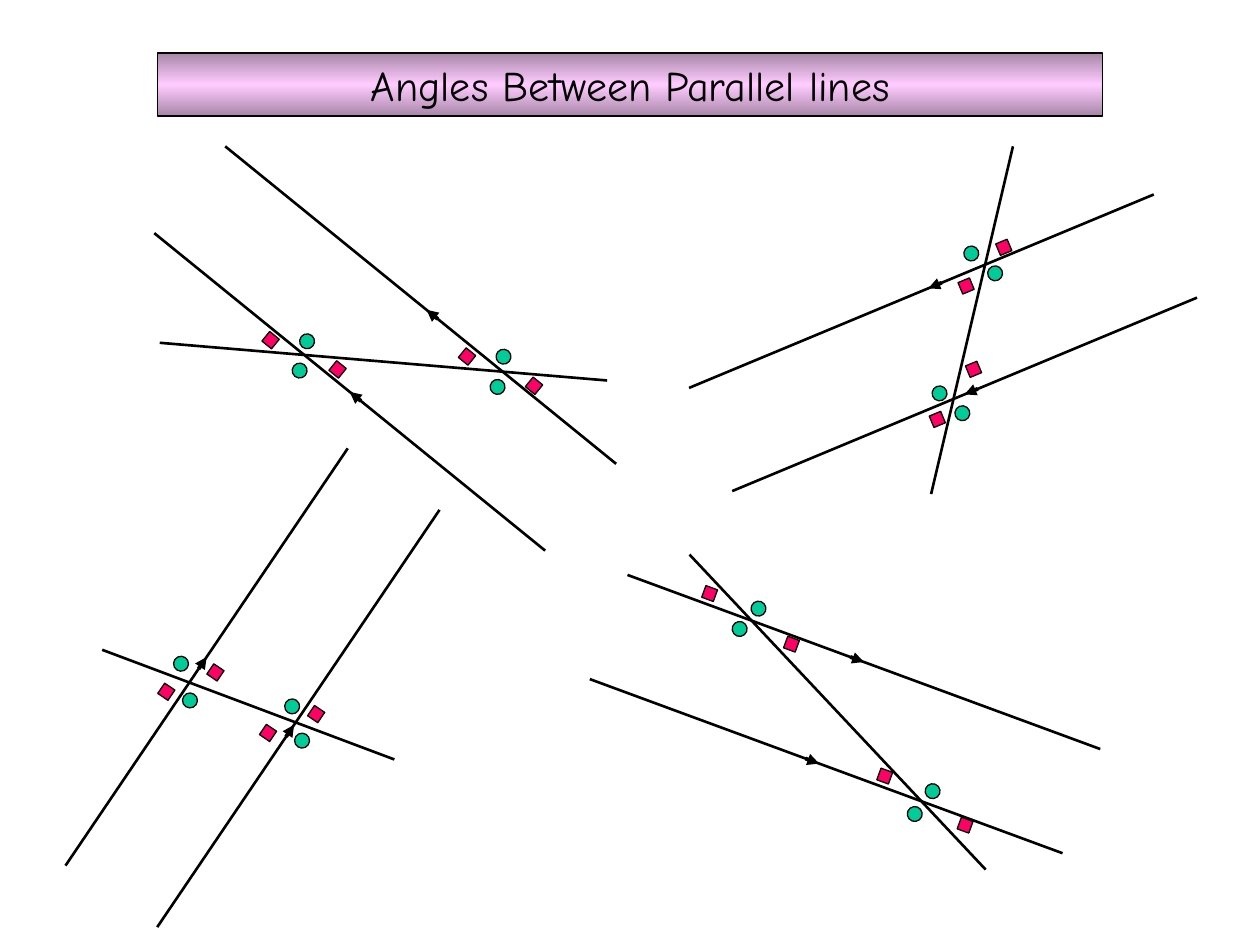
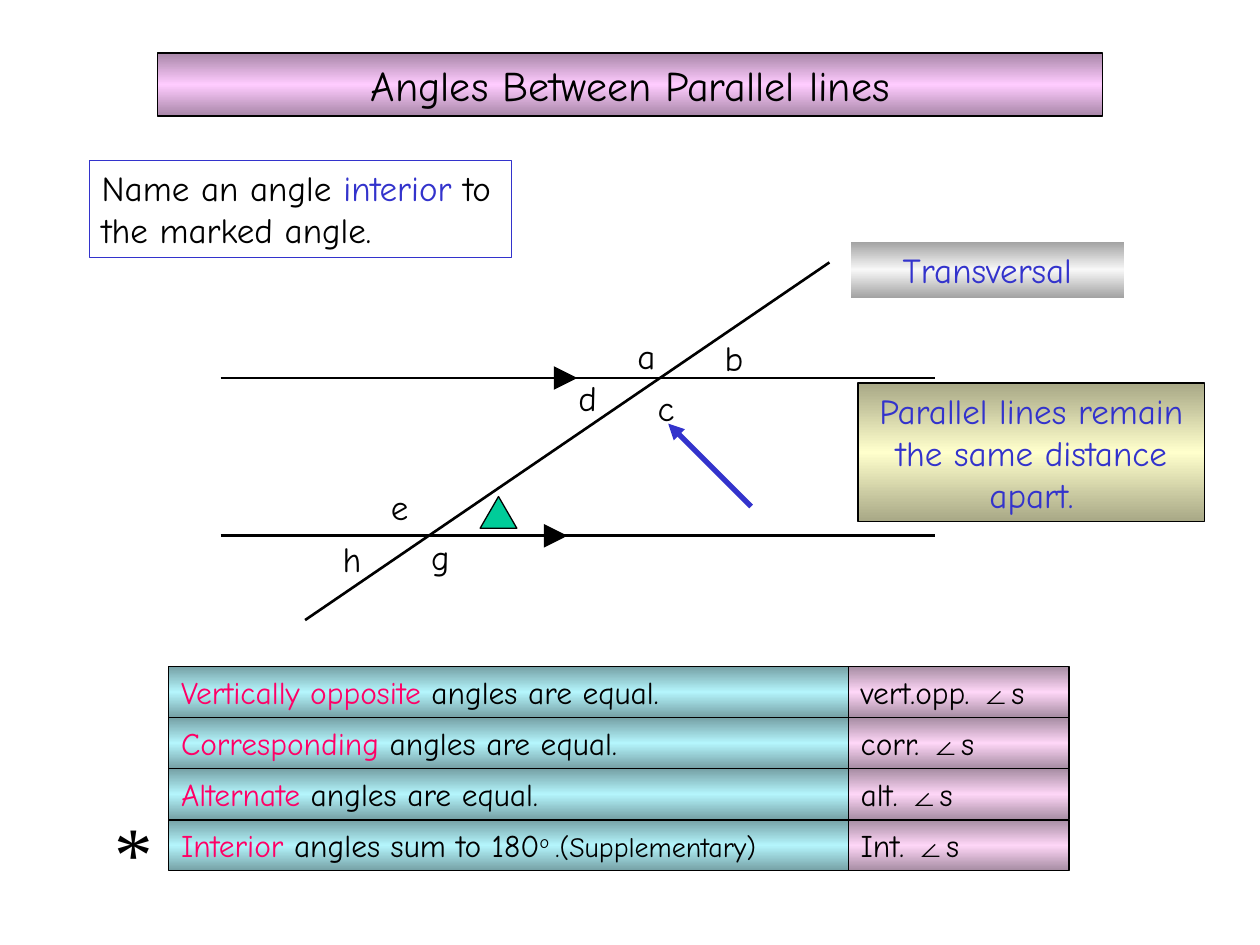
from copy import deepcopy
from math import atan2, cos, degrees, sin

from lxml import etree
from pptx import Presentation
from pptx import util as u
from pptx.dml.color import RGBColor
from pptx.enum import shapes as s, text as t
from pptx.oxml.ns import qn

# Shared look
BLACK = RGBColor(0x00, 0x00, 0x00)
BLUE = RGBColor(0x33, 0x33, 0xCC)
GREEN = RGBColor(0x00, 0xCC, 0x99)
RED = RGBColor(0xFF, 0x00, 0x66)
# Bands: edge colour, middle colour
PINK = RGBColor(0xA8, 0x86, 0xA8), RGBColor(0xFF, 0xCC, 0xFF)
CREAM = RGBColor(0xA8, 0xA8, 0x86), RGBColor(0xFF, 0xFF, 0xCC)
GREY = RGBColor(0xA3, 0xA3, 0xA3), RGBColor(0xF8, 0xF8, 0xF8)
AQUA = RGBColor(0x76, 0xA1, 0xA6), RGBColor(0xB4, 0xF5, 0xFC)
ROSE = RGBColor(0xA7, 0x8D, 0xA3), RGBColor(0xFE, 0xD6, 0xF7)
FONT = "Comic Neue"
RECT = s.MSO_SHAPE.RECTANGLE
OVAL = s.MSO_SHAPE.OVAL
MID = t.PP_ALIGN.CENTER
LEFT = t.PP_ALIGN.LEFT


def cms(*nums):
    return [u.Cm(n) for n in nums]


def line(on, start, end, width=1.5, color=BLACK, head=False):
    rule = on.add_connector(s.MSO_CONNECTOR.STRAIGHT, *cms(*start, *end))
    rule.line.width = u.Pt(width)
    rule.line.color.rgb = color
    if head:
        etree.SubElement(rule.line._get_or_add_ln(), qn("a:tailEnd"), type="triangle")
    etree.SubElement(rule._element.spPr, qn("a:effectLst"))


def mark(on, kind, area, fill=None, edge=BLACK, turn=0):
    shape = on.add_shape(kind, *cms(*area))
    shape.shadow.inherit = False
    shape.rotation = turn
    if fill:
        shape.fill.solid()
        shape.fill.fore_color.rgb = fill
    else:
        shape.fill.background()
    if edge:
        shape.line.color.rgb = edge
        shape.line.width = u.Pt(0.75)
    else:
        shape.line.fill.background()
    return shape


def shade(shape, band):
    """Fill a shape from edge to middle to edge."""
    shape.fill.gradient()
    shape.fill.gradient_angle = 90
    stops = shape._element.spPr.find(".//" + qn("a:gsLst"))
    stops.insert(1, deepcopy(stops[0]))
    edge, mid = band
    for stop, place, color in zip(shape.fill.gradient_stops, (0, 0.5, 1), (edge, mid, edge)):
        stop.position = place
        stop.color.rgb = color


def write(shape, runs, size=20, align=LEFT, font=FONT):
    """Each run is (words, colour, changes to size, font or base)."""
    frame = shape.text_frame
    frame.word_wrap = True
    frame.vertical_anchor = t.MSO_ANCHOR.TOP
    frame.margin_left, frame.margin_top, frame.margin_right, frame.margin_bottom = cms(
        0.25, 0.13, 0.25, 0.13)
    para = frame.paragraphs[0]
    para.alignment = align
    for words, color, *more in runs:
        style = more[0] if more else {}
        run = para.add_run()
        run.text = words
        run.font.size = u.Pt(style.get("size", size))
        run.font.name = style.get("font", font)
        run.font.color.rgb = color
        if "base" in style:
            run.font._element.set("baseline", str(style["base"] * 1000))


def panel(on, area, band, runs, size=20, align=MID, edge=BLACK):
    shape = mark(on, RECT, area, edge=edge)
    if band:
        shade(shape, band)
    write(shape, runs, size, align)


def label(on, area, word, **style):
    write(on.add_textbox(*cms(*area)), [(word, BLACK)], **style)


def title(on):
    panel(on, (3.18, 1.07, 19.05, 1.27), PINK, [("Angles Between Parallel lines", BLACK)], 24)


# Two parallel lines, the line that cuts them, and the marked angles
def figure(on, box, starts, run, cut, dots, tiles):
    left, top = box
    part = on.add_group_shape().shapes

    def at(point):
        return left + point[0], top + point[1]

    turn = atan2(run[1], run[0])
    for start, share in zip(starts, (0.5, 0.485)):
        x, y = at(start)
        line(part, (x, y), (x + run[0], y + run[1]))
        tip = x + share * run[0], y + share * run[1]
        back = tip[0] - 0.29 * cos(turn), tip[1] - 0.29 * sin(turn)
        line(part, back, tip, 2.25, head=True)
    line(part, at(cut[0]), at(cut[1]))
    for kind, side, color, spots in ((OVAL, 0.3, GREEN, dots), (RECT, 0.25, RED, tiles)):
        for spot in spots:
            mark(part, kind, (*at(spot), side, side), color, turn=degrees(turn))


FIGURES = [
    dict(box=(3.12, 2.95), starts=[(7.87, 8.15), (9.3, 6.4)], run=(-7.88, -6.4),
         cut=[(9.12, 4.72), (0.1, 3.96)],
         dots=[(2.77, 4.37), (2.92, 3.78), (6.76, 4.7), (6.88, 4.09)],
         tiles=[(2.21, 3.78), (3.56, 4.37), (6.17, 4.11), (7.52, 4.7)]),
    dict(box=(13.89, 2.95), starts=[(10.24, 3.05), (9.37, 0.97)], run=(-9.37, 3.9),
         cut=[(6.53, 0), (4.88, 7.01)],
         dots=[(5.36, 5.23), (4.9, 4.83), (6.02, 2.41), (5.54, 2.01)],
         tiles=[(4.88, 5.38), (5.61, 4.37), (5.46, 2.69), (6.22, 1.91)]),
    dict(box=(1.32, 9.04), starts=[(0, 8.41), (1.85, 9.65)], run=(5.69, -8.41),
         cut=[(6.63, 6.27), (0.74, 4.06)],
         dots=[(2.18, 4.19), (2.36, 4.93), (4.42, 5.05), (4.62, 5.74)],
         tiles=[(1.91, 4.78), (2.9, 4.39), (3.96, 5.61), (4.93, 5.23)]),
    dict(box=(11.89, 11.18), starts=[(0.76, 0.41), (0, 2.51)], run=(9.53, 3.51),
         cut=[(7.98, 6.35), (2.01, 0)],
         dots=[(3.25, 0.94), (2.87, 1.35), (6.76, 4.62), (6.4, 5.08)],
         tiles=[(2.29, 0.66), (3.94, 1.68), (5.82, 4.34), (7.44, 5.33)]),
]

ANGLES = {"a": (8.15, 1.73), "b": (9.91, 1.78), "e": (3.18, 4.78), "h": (2.21, 5.82),
          "g": (3.99, 5.79), "d": (6.96, 2.59), "c": (8.56, 2.79)}


# Lettered angles, the marked one and the pointer to its partner
def puzzle(on, box):
    x, y = box
    for drop, tip in ((2.74, 7.19), (5.92, 6.99)):
        line(on, (x, y + drop), (x + 14.4, y + drop))
        line(on, (x + tip - 0.42, y + drop), (x + tip, y + drop), 4.5, head=True)
    panel(on, (x + 12.85, y + 2.84, 6.99, 2.79), CREAM,
          [("Parallel lines remain the same distance apart.", BLUE)])
    line(on, (x + 1.7, y + 7.62), (x + 12.27, y + 0.41))
    panel(on, (x + 12.7, y, 5.51, 1.12), GREY, [("Transversal", BLUE)], edge=None)
    mark(on, s.MSO_SHAPE.ISOSCELES_TRIANGLE, (x + 5.23, y + 5.13, 0.74, 0.64), GREEN)
    for name, (across, down) in ANGLES.items():
        label(on, (x + across, y + down, 1.09, 1.12), name)
    line(on, (x + 10.69, y + 5.33), (x + 9.02, y + 3.66), 3, BLUE, head=True)


RULES = [
    ("Vertically opposite", [(" angles are equal.", BLACK)], "vert.opp. "),
    ("Corresponding", [(" angles are equal.", BLACK)], "corr. "),
    ("Alternate ", [("angles are equal.", BLACK)], "alt. "),
    ("Interior ", [("angles sum to 180", BLACK), ("o ", BLACK, {"base": 30}),
                   (".(Supplementary)", BLACK, {"size": 16})], "Int. "),
]


# Rules with their short forms; a star marks the last
def rules(on, box):
    x, y = box
    wide, slim, high, step = 13.7, 4.45, 1.02, 1.03
    for row, (name, rest, short) in enumerate(RULES):
        drop = y + row * step
        panel(on, (x, drop, wide, high), AQUA, [(name, RED), *rest], 18, LEFT)
        panel(on, (x + wide, drop, slim, high), ROSE,
              [(short, BLACK), ("∠", BLACK, {"font": "Arial"}), ("s", BLACK)], 18, LEFT)
    label(on, (x - 1.57, y + 2.64, 1.73, 2.13), "*", size=44, align=MID,
          font="Times New Roman")


def main():
    deck = Presentation()
    deck.slide_width, deck.slide_height = cms(25.4, 19.05)
    pages = [deck.slides.add_slide(deck.slide_layouts[6]).shapes for _ in range(2)]
    for page in pages:
        title(page)
    first, second = pages

    # Four figures
    for item in FIGURES:
        figure(first, **item)

    # Question, puzzle and rules
    panel(second, (1.8, 3.23, 8.51, 1.96), None,
          [("Name an angle ", BLACK), ("interior ", BLUE), ("to the marked angle.", BLACK)],
          align=LEFT, edge=BLUE)
    puzzle(second, (4.45, 4.88))
    rules(second, (3.4, 13.44))
    deck.save("out.pptx")


if __name__ == "__main__":
    main()
